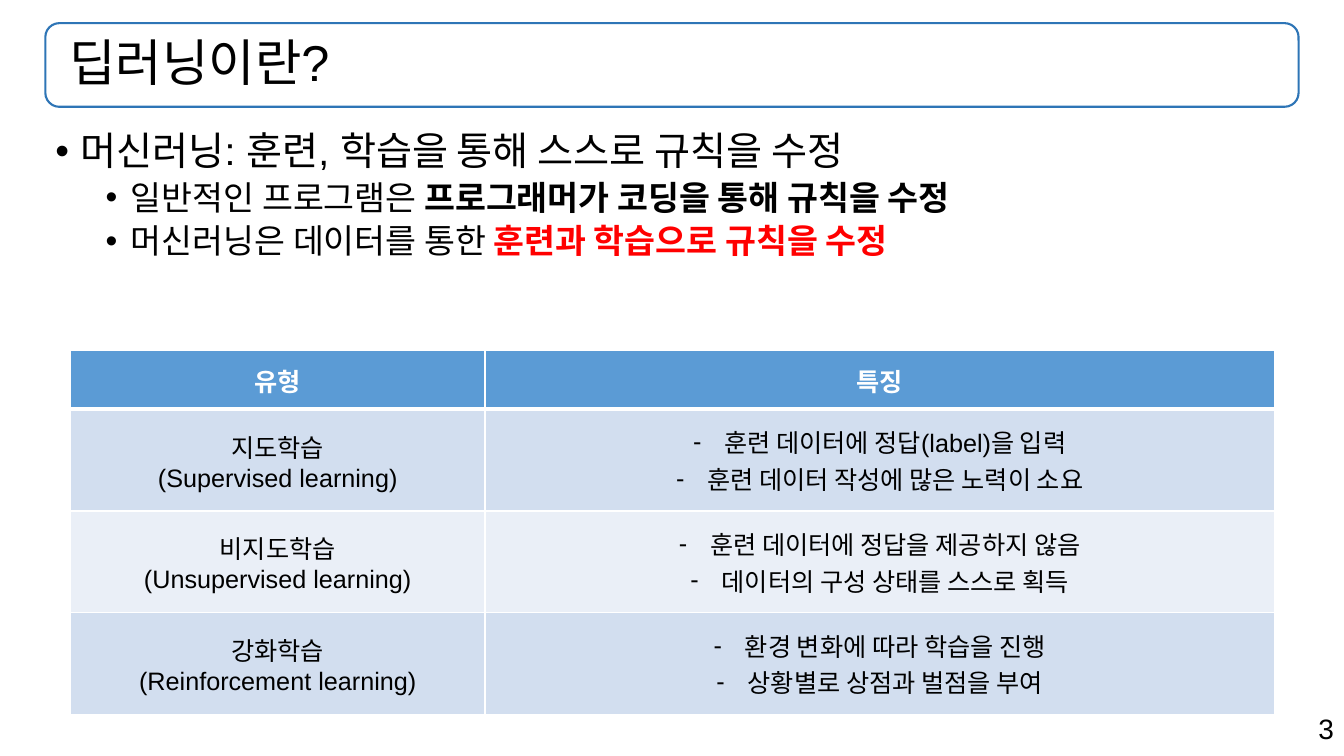
from dataclasses import dataclass

from lxml.etree import SubElement
from pptx import Presentation
from pptx.dml.color import RGBColor
from pptx.enum.shapes import MSO_SHAPE as Shape
from pptx.enum.text import MSO_ANCHOR as Anchor, MSO_AUTO_SIZE as AutoSize, PP_ALIGN as Align
from pptx.oxml.ns import qn
from pptx.util import Inches, Pt


@dataclass(frozen=True)
class Theme:
    font: str = "Arial"
    text: str = "000000"
    white: str = "FFFFFF"
    accent: str = "FF0000"
    frame: str = "2E75B6"
    header: str = "5B9BD5"
    bands: tuple = ("D2DEEF", "EAEFF7")
    title_size: int = 36
    body_sizes: tuple = (28, 24)
    table_size: int = 18
    number_size: int = 20


T = Theme()

# Each line: level, then runs of (text, format)
BULLETS = [
    (0, [("머신러닝: 훈련, 학습을 통해 스스로 규칙을 수정", {})]),
    (1, [("일반적인 프로그램은 ", {}),
         ("프로그래머가 코딩을 통해 규칙을 수정", {"bold": True})]),
    (1, [("머신러닝은 데이터를 통한 ", {}),
         ("훈련과 학습으로 규칙을 수정", {"bold": True, "color": T.accent})]),
]
HEADINGS = ["유형", "특징"]
LEARNING_TYPES = [
    (["지도학습", "(Supervised learning)"],
     ["훈련 데이터에 정답(label)을 입력", "훈련 데이터 작성에 많은 노력이 소요"]),
    (["비지도학습", "(Unsupervised learning)"],
     ["훈련 데이터에 정답을 제공하지 않음", "데이터의 구성 상태를 스스로 획득"]),
    (["강화학습", "(Reinforcement learning)"],
     ["환경 변화에 따라 학습을 진행", "상황별로 상점과 벌점을 부여"]),
]


def apply(obj, formats):
    for name, value in formats.items():
        setattr(obj, name, value)


def add_run(p, text, size, color=T.text, bold=False):
    r = p.add_run()
    r.text = text
    apply(r.font, {"name": T.font, "size": Pt(size), "bold": bold})
    r.font.color.rgb = RGBColor.from_string(color)


def set_bullet(p, char, left, hang):
    pPr = p._p.get_or_add_pPr()
    pPr.set("marL", str(Inches(left)))
    pPr.set("indent", str(-Inches(hang)))
    SubElement(pPr, qn("a:buFont"), typeface=T.font)
    SubElement(pPr, qn("a:buChar"), char=char)


def paragraphs(tf, count):
    return [tf.paragraphs[0]] + [tf.add_paragraph() for _ in range(count - 1)]


def set_borders(cell, widths):
    tcPr = cell._tc.get_or_add_tcPr()
    for i, (side, width) in enumerate(widths.items()):
        ln = SubElement(tcPr, qn("a:ln" + side), w=str(Pt(width)))
        fill = SubElement(ln, qn("a:solidFill"))
        SubElement(fill, qn("a:srgbClr"), val=T.white)
        tcPr.insert(i, ln)


def add_title(s, text, x, y, w, h):
    box = [Inches(v) for v in (x, y, w, h)]
    # Rounded frame, kept behind the title
    frame = s.shapes.add_shape(Shape.ROUNDED_RECTANGLE, *box)
    frame.shadow.inherit = False
    frame.fill.background()
    frame.line.color.rgb = RGBColor.from_string(T.frame)
    frame.line.width = Pt(1.5)
    title = s.shapes.title
    title._element.addprevious(frame._element)
    apply(title, dict(zip(("left", "top", "width", "height"), box)))
    tf = title.text_frame
    apply(tf, {"auto_size": AutoSize.NONE, "vertical_anchor": Anchor.MIDDLE,
               "margin_left": Inches(0.24), "word_wrap": True})
    p = tf.paragraphs[0]
    apply(p, {"alignment": Align.LEFT, "line_spacing": 0.9})
    add_run(p, text, T.title_size)


def add_bullets(s, lines, x, y, w, h):
    tf = s.shapes.add_textbox(*[Inches(v) for v in (x, y, w, h)]).text_frame
    tf.word_wrap = True
    for i, (p, (level, runs)) in enumerate(zip(paragraphs(tf, len(lines)), lines)):
        apply(p, {"level": level, "line_spacing": 0.9, "space_before": Pt(5 if i else 0)})
        set_bullet(p, "•", 0.25 + 0.5 * level, 0.25)
        for text, formats in runs:
            add_run(p, text, T.body_sizes[level], **formats)


def fill_cell(cell, lines, fill, color=T.text, bold=False, dashed=False):
    cell.fill.solid()
    cell.fill.fore_color.rgb = RGBColor.from_string(fill)
    cell.vertical_anchor = Anchor.MIDDLE
    for p, text in zip(paragraphs(cell.text_frame, len(lines)), lines):
        p.alignment = Align.CENTER
        if dashed:
            set_bullet(p, "-", 0.31, 0.31)
        add_run(p, text, T.table_size, color, bold)


def add_type_table(s, x, y, col_widths, header_h, row_h):
    n = len(LEARNING_TYPES)
    table = s.shapes.add_table(
        n + 1, len(col_widths), Inches(x), Inches(y),
        Inches(sum(col_widths)), Inches(header_h + n * row_h)).table
    for col, width in zip(table.columns, col_widths):
        col.width = Inches(width)
    for i, row in enumerate(table.rows):
        row.height = Inches(row_h if i else header_h)
        for j, cell in enumerate(row.cells):
            if i == 0:
                fill_cell(cell, [HEADINGS[j]], T.header, T.white, bold=True)
            else:
                fill_cell(cell, LEARNING_TYPES[i - 1][j], T.bands[(i - 1) % 2], dashed=j == 1)
            # Thick rule between the header and the first row
            set_borders(cell, {"L": 1, "R": 1, "T": 3 if i == 1 else 1, "B": 1 if i else 3})


def add_page_number(s, number, x, y, w, h):
    tf = s.shapes.add_textbox(*[Inches(v) for v in (x, y, w, h)]).text_frame
    tf.word_wrap = True
    p = tf.paragraphs[0]
    p.alignment = Align.RIGHT
    add_run(p, number, T.number_size)


def main():
    prs = Presentation()
    prs.slide_width, prs.slide_height = Inches(13.33), Inches(7.5)
    s = prs.slides.add_slide(prs.slide_layouts[5])
    add_title(s, "딥러닝이란?", 0.45, 0.23, 12.43, 0.83)
    add_bullets(s, BULLETS, 0.45, 1.26, 12.43, 5.53)
    add_type_table(s, 0.7, 3.48, [4.11, 7.83], 0.58, 1.01)
    add_page_number(s, "3", 9.43, 7.01, 3.9, 0.44)
    prs.save("out.pptx")


if __name__ == "__main__":
    main()
